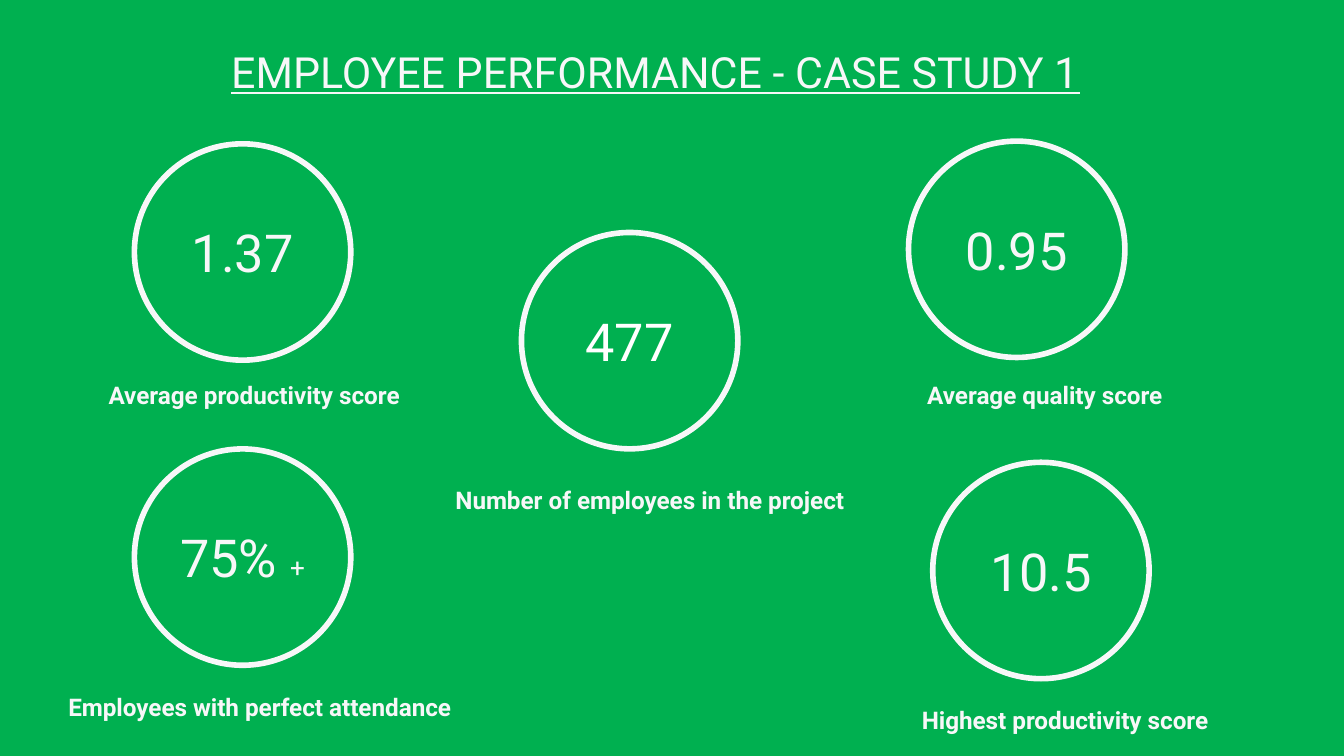
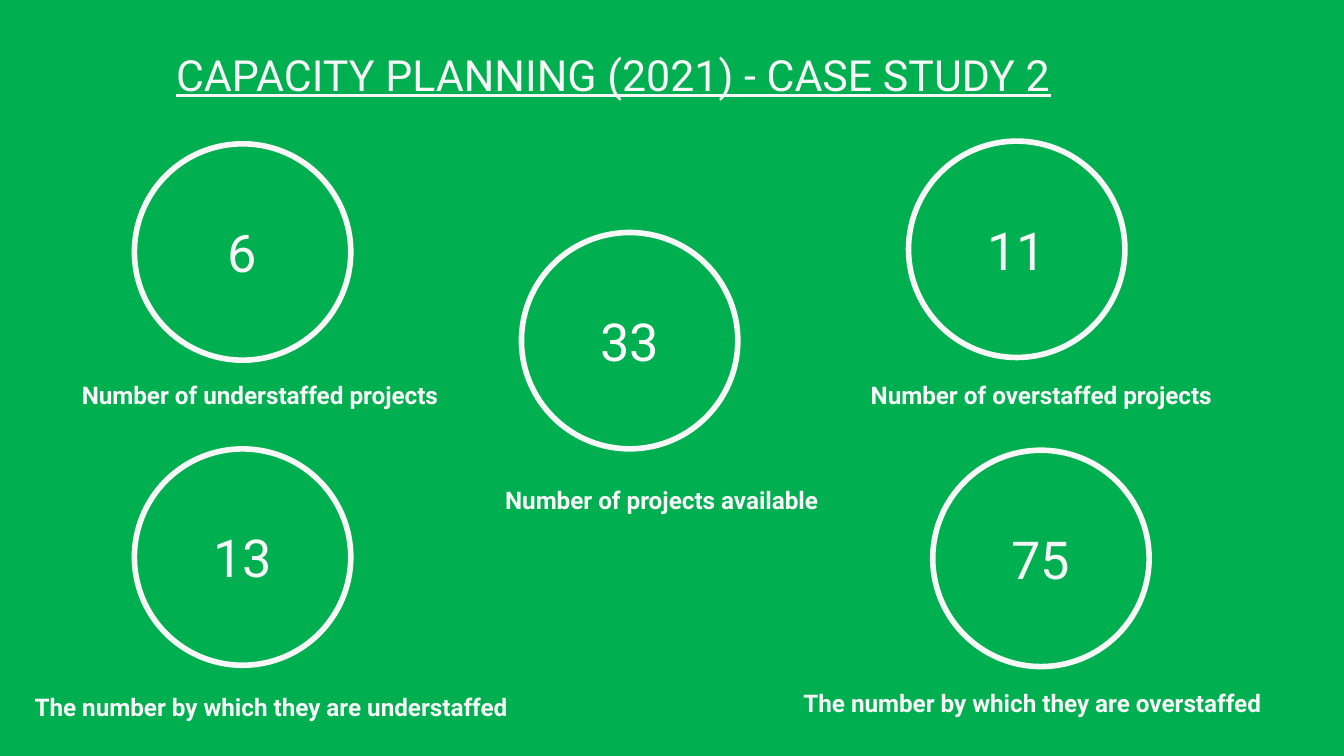
"""Build two slides of key figures in rings, one per case study."""
from collections import namedtuple
from pptx import Presentation, util as u
from pptx.dml.color import RGBColor
from pptx.enum import shapes, text

Theme = namedtuple("Theme", "back ink bright font head value small label line")
look = Theme(RGBColor(0x00, 0xB0, 0x50), RGBColor(0xF7, 0xF7, 0xF8),
             RGBColor(0xFF, 0xFF, 0xFF), "Roboto", 23, 28, 14, 13, 3)

deck = Presentation()
deck.slide_width = u.Inches(10)
deck.slide_height = deck.slide_width * 9 // 16
cell = deck.slide_width // 100
fill = deck.slide_master.background.fill
fill.solid()
fill.fore_color.rgb = look.back


def grid(*spans):
    """Turn grid columns and rows into lengths."""
    return [u.Emu(round(span * cell)) for span in spans]


def style(shape, size, align, anchor, ink=look.ink, **marks):
    """Format the frame and all runs of a shape."""
    frame = shape.text_frame
    frame.word_wrap = True
    frame.auto_size = text.MSO_AUTO_SIZE.NONE
    frame.vertical_anchor = anchor
    frame.margin_left = frame.margin_right = cell
    frame.margin_top = frame.margin_bottom = cell
    para = frame.paragraphs[0]
    para.alignment = align
    for run in para.runs:
        font = run.font
        font.name, font.size, font.color.rgb = look.font, u.Pt(size), ink
        for mark, state in marks.items():
            setattr(font, mark, state)


left, mid = text.PP_ALIGN.LEFT, text.PP_ALIGN.CENTER
top, centre = text.MSO_ANCHOR.TOP, text.MSO_ANCHOR.MIDDLE
ring_size, label_high, head_high = 16.1, 4.2, 5.6

spots = [(10, 10.7, 27.3), (67.6, 10.5, 27.3), (10, 33.4, 50.5), (38.8, 17.3, 35.1)]
last = 69.4

pages = [
    ("EMPLOYEE PERFORMANCE - CASE STUDY 1", (16.2, 2.4, 69.3), (last, 34.4, 51.5), [
        ("1.37", "", "Average productivity score", 7.1, 25.3),
        ("0.95", "", "Average quality score", 68, 20.8),
        ("75% ", "+", "Employees with perfect attendance", 4.1, 32.8),
        ("477", "", "Number of employees in the project", 32.9, 32.8),
        ("10.5", "", "Highest productivity score", 67.6, 29.5)]),
    ("CAPACITY PLANNING (2021) - CASE STUDY 2", (12.1, 2.6, 71.6), (last, 33.5, 50.2), [
        ("6", "", "Number of understaffed projects", 5.1, 29.5),
        ("11", "", "Number of overstaffed projects", 63.8, 28.2),
        ("13", "", "The number by which they are understaffed", 1.6, 38.3),
        ("33", "", "Number of projects available", 36.6, 25.8),
        ("75", "", "The number by which they are overstaffed", 58.8, 38.3)]),
]

for name, place, end, facts in pages:
    slide = deck.slides.add_slide(deck.slide_layouts[5])
    title = slide.shapes.title
    title.left, title.top, title.width, title.height = grid(*place, head_high)
    title.text_frame.text = name
    style(title, look.head, left, top, underline=True)

    for (x, y, base), (value, extra, note, start, wide) in zip(spots + [end], facts):
        ring = slide.shapes.add_shape(shapes.MSO_SHAPE.OVAL,
                                      *grid(x, y, ring_size, ring_size))
        ring.shadow.inherit = False
        ring.fill.background()
        ring.line.color.rgb = look.ink
        ring.line.width = u.Pt(look.line)
        ring.text_frame.text = value
        ink = look.bright if x == spots[3][0] else look.ink
        if extra:
            ring.text_frame.paragraphs[0].add_run().text = extra
        style(ring, look.value, mid, centre, ink)
        if extra:
            ring.text_frame.paragraphs[0].runs[-1].font.size = u.Pt(look.small)

        label = slide.shapes.add_textbox(*grid(start, base, wide, label_high))
        label.text_frame.text = note
        style(label, look.label, left, top, bold=True)

deck.save("out.pptx")
